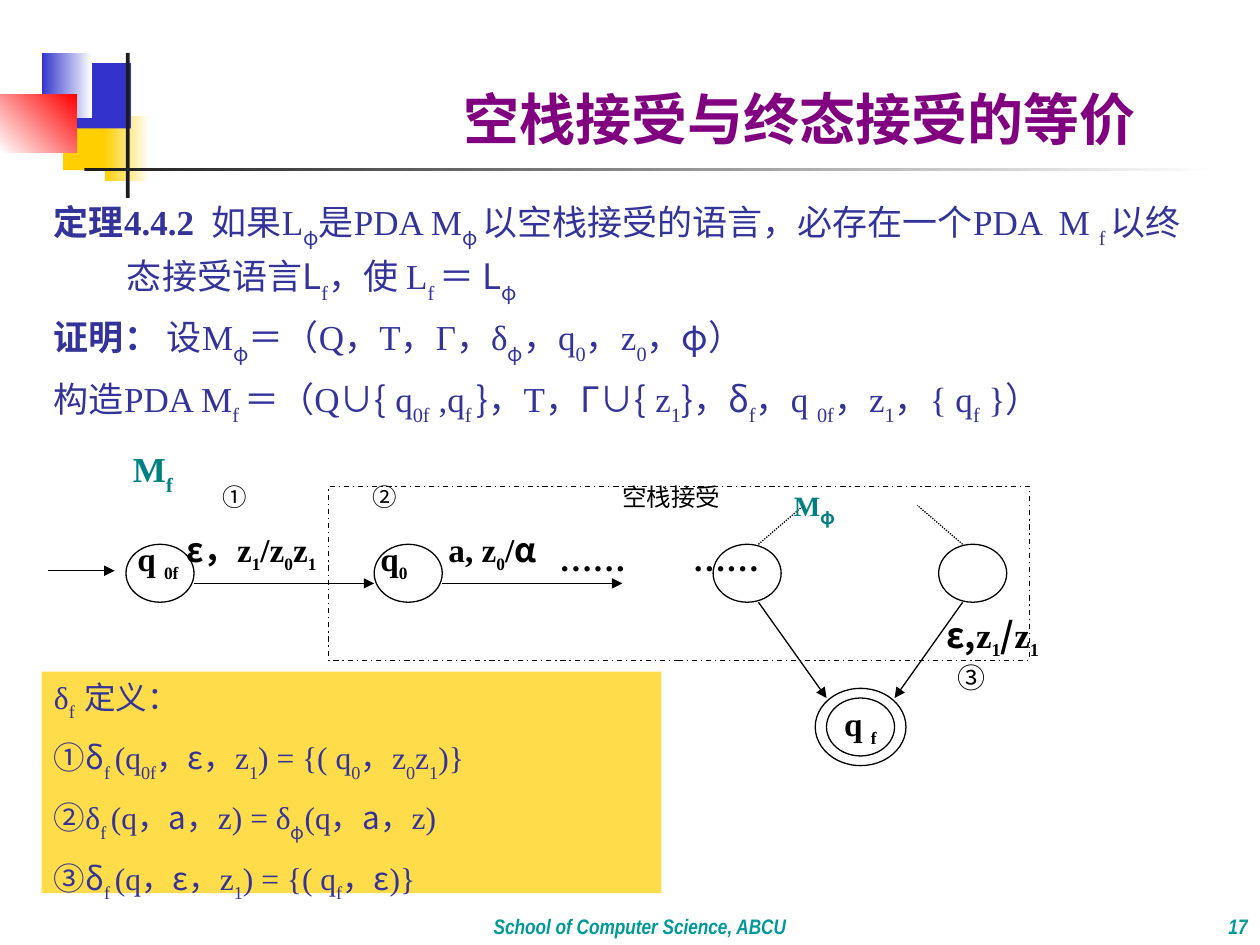
from lxml.etree import SubElement
from pptx import Presentation
from pptx.dml.color import RGBColor
from pptx.enum.dml import MSO_LINE
from pptx.enum.shapes import MSO_CONNECTOR, MSO_SHAPE
from pptx.enum.text import MSO_ANCHOR, PP_ALIGN
from pptx.oxml.ns import qn
from pptx.util import Inches, Pt

SERIF, SANS, NARROW = "Times New Roman", "Noto Sans CJK SC", "Arial Narrow"
BLACK, WHITE, NAVY, TEAL = "000000", "FFFFFF", "333399", "008080"
YELLOW, BLUE, RED, DARK = "FFCF01", "3333CC", "FF0000", "1C1C1C"


def rgb(color):
    return RGBColor.from_string(color)


def write(para, markup, size, color, font=SERIF, italic=False, drop=-30, sub_size=None):
    """Add runs; _ toggles subscript, ` toggles the sans font, * toggles bold."""
    state = {"_": False, "`": False, "*": False}
    text = ""
    for char in markup + "\n":
        if char not in state and char != "\n":
            text += char
            continue
        if text:
            span = para.add_run()
            span.text = text
            span.font.name = SANS if state["`"] else font
            span.font.size = Pt(sub_size if sub_size and state["_"] else size)
            span.font.bold = state["*"]
            span.font.italic = italic
            span.font.color.rgb = rgb(color)
            props = span.font._element
            SubElement(props, qn("a:ea"), typeface=SANS)
            if state["_"]:
                props.set("baseline", str(drop * 1000))
            text = ""
        if char in state:
            state[char] = not state[char]


def add_text(page, left, top, width, height, anchor=MSO_ANCHOR.TOP):
    box = page.shapes.add_textbox(Inches(left), Inches(top), Inches(width), Inches(height))
    box.text_frame.word_wrap = True
    box.text_frame.vertical_anchor = anchor
    return box.text_frame


def add_paragraphs(frame, lines, size, indent, before, spacing=1.0):
    for index, markup in enumerate(lines):
        para = frame.paragraphs[0] if index == 0 else frame.add_paragraph()
        para.alignment = PP_ALIGN.LEFT
        para.space_before = Pt(before)
        para.line_spacing = spacing
        props = para._p.get_or_add_pPr()
        props.set("marL", str(Inches(indent)))
        props.set("indent", str(-Inches(indent)))
        write(para, markup, size, NAVY)


def add_label(page, left, baseline, markup, size, color=BLACK, sub_size=None):
    """Place one line of text so that it starts at left and sits on baseline."""
    sans = "`" in markup.replace("_`φ`_", "")
    ascent = size * (1.16 if sans else 0.89) / 72
    frame = add_text(page, left, baseline - ascent, 1.5, 0.4)
    frame.word_wrap = False
    frame.margin_left = frame.margin_right = frame.margin_top = frame.margin_bottom = 0
    write(frame.paragraphs[0], markup, size, color, drop=-25, sub_size=sub_size)


def add_block(page, kind, left, top, width, height, fill, end=None, angle=0):
    """Add a lineless or to-be-lined shape; end turns the fill into a gradient."""
    block = page.shapes.add_shape(kind, Inches(left), Inches(top), Inches(width), Inches(height))
    block.shadow.inherit = False
    block.line.fill.background()
    if end is None:
        block.fill.solid()
        block.fill.fore_color.rgb = rgb(fill)
    else:
        block.fill.gradient()
        block.fill.gradient_angle = angle
        for stop, color in zip(block.fill.gradient_stops, (fill, end)):
            stop.color.rgb = rgb(color)
    return block


def outline(shape, dash=None):
    shape.line.color.rgb = rgb(BLACK)
    shape.line.width = Pt(0.75)
    if dash:
        shape.line.dash_style = dash


def add_line(page, x1, y1, x2, y2, arrow=True, dash=None):
    line = page.shapes.add_connector(
        MSO_CONNECTOR.STRAIGHT, Inches(x1), Inches(y1), Inches(x2), Inches(y2))
    outline(line, dash)
    if arrow:
        SubElement(line.line._get_or_add_ln(), qn("a:tailEnd"), type="triangle")
    SubElement(line._element.spPr, qn("a:effectLst"))


def add_decoration(page, left, top):
    for x, y, width, height, *fill in (
        (0.5, 0.41, 0.48, 0.52, YELLOW),
        (0.83, 0.5, 0.36, 0.52, YELLOW, WHITE),
        (0.58, 0.08, 0.46, 0.52, BLUE),
        (0.33, 0, 0.4, 0.52, BLUE, WHITE),
        (0, 0.33, 0.61, 0.46, WHITE, RED, 45),
        (1, 0, 0.03, 1.15, DARK),
        (0.67, 0.91, 9, 0.03, DARK, WHITE),
    ):
        add_block(page, MSO_SHAPE.RECTANGLE, left + x, top + y, width, height, *fill)


def add_heading(page, left, top, width, height):
    frame = add_text(page, left, top, width, height, MSO_ANCHOR.BOTTOM)
    write(frame.paragraphs[0], "*空栈接受与终态接受的等价*", 32, "800080", SANS)


def add_footer(page, left, top, width, text, align):
    para = add_text(page, left, top, width, 0.5, MSO_ANCHOR.BOTTOM).paragraphs[0]
    para.alignment = align
    write(para, f"*{text}*", 12, "009999", NARROW, italic=True)


def add_theorem(page, left, top, width, height):
    add_paragraphs(add_text(page, left, top, width, height), (
        "*定理4.4.2*  如果L_`φ`_是PDA M_`φ `_以`空栈`接受的语言，必存在一个PDA  M _f _"
        "`以`终态`接受语言L`_f_`，使 `L_f _`＝ L_φ_`",
        "*证明：*` 设`M_`φ`_`＝`（Q，T，Γ，δ_`φ`_，q_0_，z_0_，`φ`）",
        "`构造`PDA M_f _`＝（`Q`∪{` q_0f_ ,q_f _`}，`T`，Γ∪{` z_1_`}，δ`_f_`，`q _0f_"
        "`，`z_1_`，`{ q_f_ }`）`",
    ), 20, 0.58, 4, 1.1)


def add_definition(page, left, top, width, height):
    panel = add_block(page, MSO_SHAPE.RECTANGLE, left, top, width, height, "FFDC49")
    panel.text_frame.word_wrap = True
    panel.text_frame.vertical_anchor = MSO_ANCHOR.TOP
    add_paragraphs(panel.text_frame, (
        "δ_f  _定义：",
        "`①δ`_f _(q_0f_`，ε，`z_1_) = {( q_0_`，`z_0_z_1_)}",
        "`②`δ_f _(q，`a，`z) = δ_`φ`_(q，`a，`z)",
        "`③δ`_f _(q`，ε，`z_1_) = {( q_f_`，ε`)}",
    ), 18, 0.5, 9)


def add_automaton(page, left, top):
    frame = add_block(page, MSO_SHAPE.RECTANGLE, left + 2.23, top + 0.36, 5.56, 1.38, WHITE)
    outline(frame, MSO_LINE.DASH_DOT)
    width, height, row = 0.54, 0.46, top + 0.82
    final_x, final_y = left + 6.45, top + 2.27
    states = [(left + x, row, width, height) for x in (0.62, 2.59, 5.28, 7.07)]
    for scale in (4 / 3, 1):
        w, h = width * scale, height * scale
        states.append((final_x - w / 2, final_y - h / 2, w, h))
    for state in states:
        outline(add_block(page, MSO_SHAPE.OVAL, *state, WHITE))

    add_line(page, left, top + 1.03, left + 0.53, top + 1.03)
    for x in (1.16, 3.13):
        add_line(page, left + x, top + 1.13, left + x + 1.43, top + 1.13)
    for side in (-1, 1):
        outer = final_x + side * 0.81
        add_line(page, outer, row + height, final_x + side * 0.27, top + 2.04)
        add_line(page, outer, row, final_x + side * 0.45, top + 0.51, False,
                 MSO_LINE.ROUND_DOT)

    for x, markup in ((0.71, "q _0f_"), (1.1, "`ε，`z_1_/z_0_z_1_"), (2.64, "q_0_"),
                      (3.18, "a, z_0_/`α`"), (4.06, "……"), (5.12, "……")):
        add_label(page, left + x, top + 1.01, f"*{markup}*", 19, sub_size=17)
    for x, text in ((1.39, "①"), (2.58, "②"), (4.56, "空栈接受")):
        add_label(page, left + x, top + 0.55, f"`{text}`", 14)
    add_label(page, left + 5.92, top + 0.55, "*M_`φ`_*", 16, TEAL, 18)
    add_label(page, left + 7.13, top + 1.69, "*`ε,`z_1_`/`z_1_*", 20, sub_size=18)
    add_label(page, left + 7.22, top + 2, "`③`", 16)
    add_label(page, left + 6.32, top + 2.32, "*q _f_*", 19, sub_size=17)

    name = add_text(page, left + 0.45, top, 0.64, 0.43).paragraphs[0]
    name.alignment = PP_ALIGN.RIGHT
    write(name, "*M_f_*", 20, TEAL)


def main():
    deck = Presentation()
    deck.slide_width, deck.slide_height = Inches(10), Inches(7.5)
    page = deck.slides.add_slide(deck.slide_layouts[6])
    add_decoration(page, 0, 0.42)
    add_footer(page, 8.33, 7, 1.67, "17", PP_ALIGN.RIGHT)
    add_footer(page, 1.58, 7, 7, "School of Computer Science, ABCU", PP_ALIGN.CENTER)
    add_theorem(page, 0.33, 1.5, 9.33, 2.17)
    add_heading(page, 3.58, 0.33, 6.19, 0.92)
    add_definition(page, 0.33, 5.33, 4.92, 1.76)
    add_automaton(page, 0.38, 3.5)
    deck.save("out.pptx")


if __name__ == "__main__":
    main()
